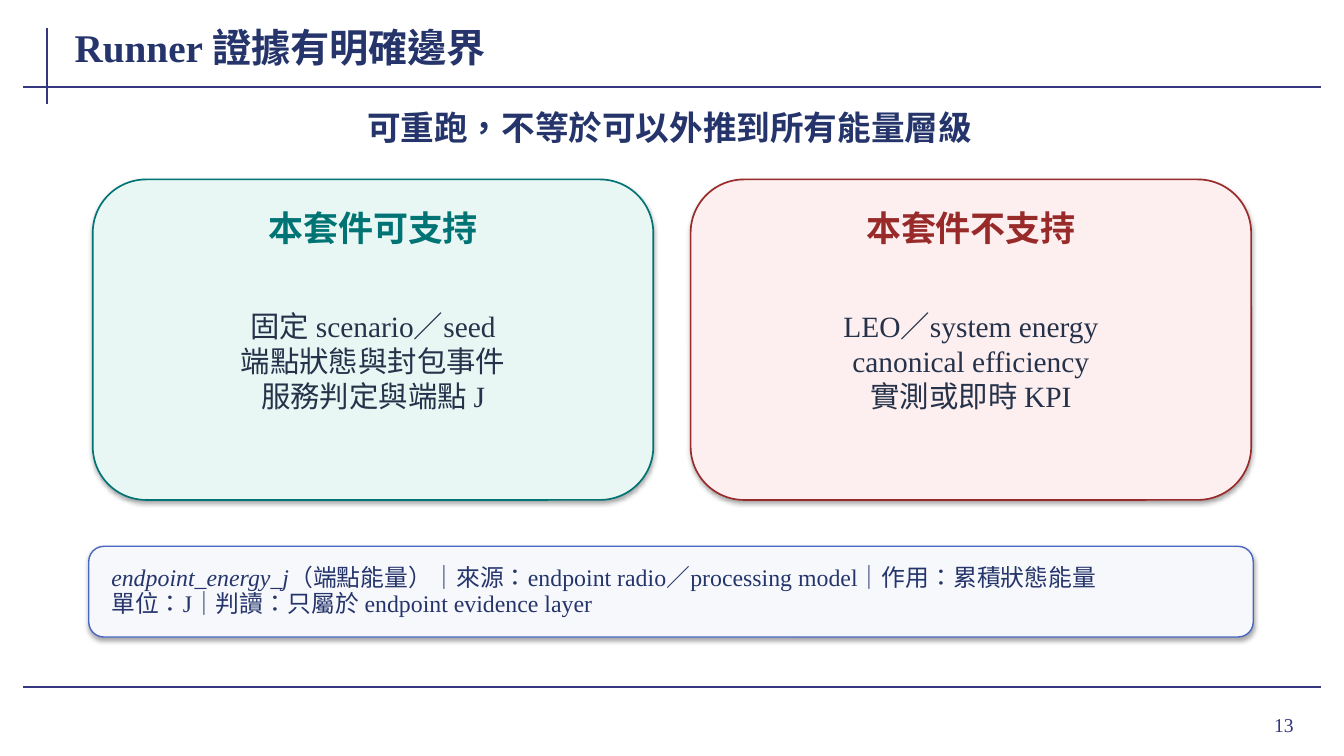
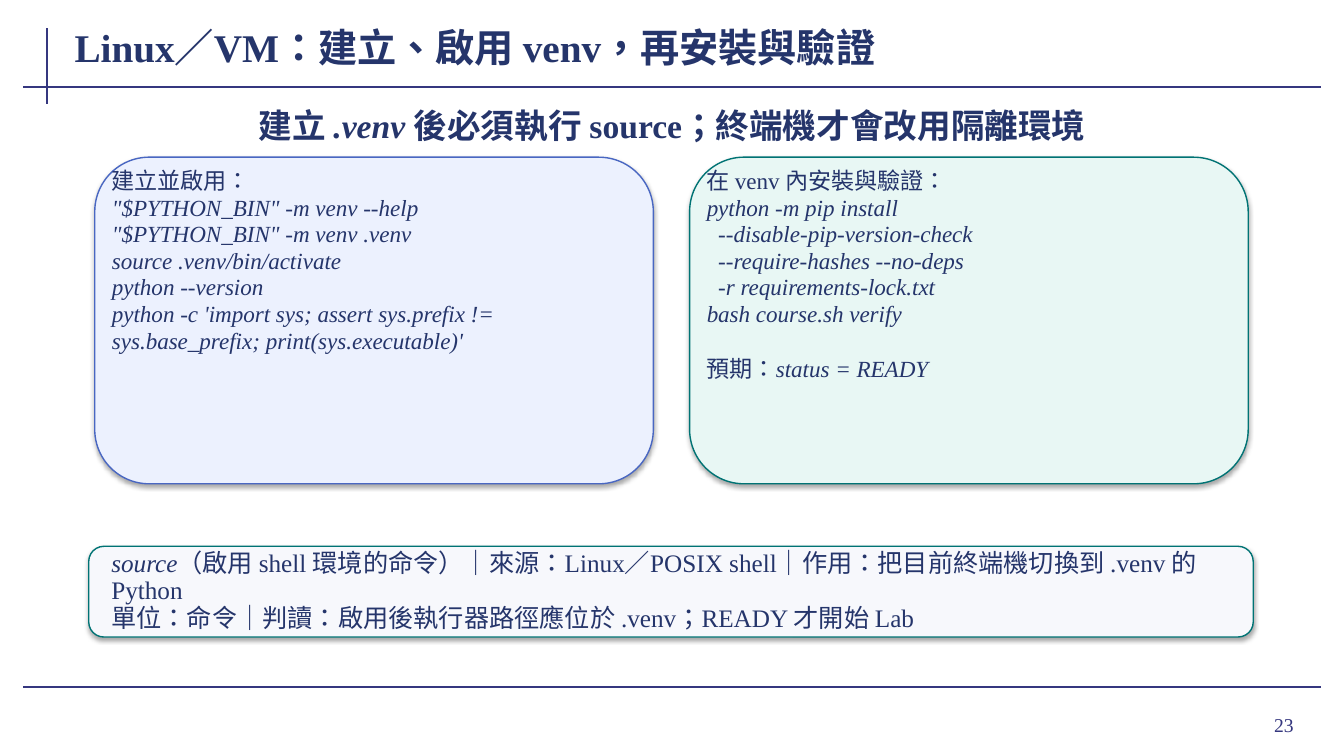
"""Build two course slides: runner evidence limits and virtual environment setup."""
from lxml import etree
from pptx import Presentation
from pptx.dml.color import RGBColor
from pptx.enum import lang, shapes, text
from pptx.oxml import ns
from pptx.util import Inches, Pt

FONT = "Times New Roman"
LANGUAGE = lang.MSO_LANGUAGE_ID.TRADITIONAL_CHINESE
NAVY, RULE, INK = "25356B", "35377F", "25324A"
BLUE, TEAL, RED = "4967C2", "007374", "992A2A"
PALE_BLUE, PALE_TEAL, PALE_RED, PALE_GREY = "ECF1FE", "E8F7F4", "FDEFEF", "F7F8FC"
LEFT, CENTER, RIGHT = text.PP_ALIGN.LEFT, text.PP_ALIGN.CENTER, text.PP_ALIGN.RIGHT
TOP, MIDDLE = text.MSO_ANCHOR.TOP, text.MSO_ANCHOR.MIDDLE
FIXED, GROW = text.MSO_AUTO_SIZE.NONE, text.MSO_AUTO_SIZE.SHAPE_TO_FIT_TEXT
rgb = RGBColor.from_string


def write(shape, lines, size, color=NAVY, align=LEFT, bold=False, anchor=MIDDLE,
          inset=(0.02, 0.01), spacing=None, fit=GROW):
    """Fill a shape with lines of text; backquotes enclose italic words."""
    frame = shape.text_frame
    frame.word_wrap, frame.auto_size, frame.vertical_anchor = True, fit, anchor
    frame.margin_left = frame.margin_right = Inches(inset[0])
    frame.margin_top = frame.margin_bottom = Inches(inset[1])
    for index, line in enumerate(lines):
        paragraph = frame.add_paragraph() if index else frame.paragraphs[0]
        paragraph.alignment = align
        if spacing:
            paragraph.line_spacing = spacing
        for part, words in enumerate(line.split("`")):
            if words:
                run = paragraph.add_run()
                run.text = words
                run.font.name, run.font.size = FONT, Pt(size)
                run.font.bold, run.font.italic = bold, part % 2 == 1
                run.font.color.rgb = rgb(color)
                run.font.language_id = LANGUAGE


def panel(slide, box, fill, line, width=1):
    """Add a rounded panel that keeps the soft shadow of the theme."""
    shape = slide.shapes.add_shape(shapes.MSO_SHAPE.ROUNDED_RECTANGLE, *map(Inches, box))
    shape.fill.solid()
    shape.fill.fore_color.rgb = rgb(fill)
    shape.line.color.rgb = rgb(line)
    shape.line.width = Pt(width)
    return shape


deck = Presentation()
deck.slide_width, deck.slide_height = Inches(13.33), Inches(7.5)
layout = deck.slide_layouts[5]
heading = layout.placeholders[0]
heading.left, heading.top, heading.width, heading.height = map(Inches, (0.72, 0.2, 10.35, 0.53))

openings = [
    ("13", "Runner 證據有明確邊界",
     "可重跑，不等於可以外推到所有能量層級", (1.03, 1.02, 11.22, 0.48)),
    ("23", "Linux／VM：建立、啟用 venv，再安裝與驗證",
     "建立 `.venv` 後必須執行 source；終端機才會改用隔離環境", (0.94, 0.98, 11.45, 0.52)),
]
for number, title, message, message_box in openings:
    slide = deck.slides.add_slide(layout)
    write(slide.shapes.title, [title], 28, bold=True, inset=(0.02, 0), fit=FIXED)
    page_number = slide.shapes.add_textbox(*map(Inches, (11.96, 6.93, 0.97, 0.52)))
    write(page_number, [number], 14, RULE, RIGHT, inset=(0.1, 0.05), fit=FIXED)
    headline = slide.shapes.add_textbox(*map(Inches, message_box))
    write(headline, [message], 24, align=CENTER, bold=True)

evidence, setup = deck.slides

rules = [(0.47, 0.28, 0.47, 1.03), (0.23, 0.86, 13.1, 0.86), (0.23, 6.82, 13.1, 6.82)]
for index, ends in enumerate(rules):
    rule = evidence.shapes.add_connector(shapes.MSO_CONNECTOR.STRAIGHT, *map(Inches, ends))
    rule.line.color.rgb = rgb(RULE)
    rule.line.width = Pt(1.5)
    etree.SubElement(rule._element.spPr, ns.qn("a:effectLst"))
    rule._element.nvCxnSpPr.cNvPr.id = 100 + index
    layout.shapes._spTree.append(rule._element)

claims = [
    (0.92, PALE_TEAL, TEAL, "本套件可支持",
     ["固定 scenario／seed", "端點狀態與封包事件", "服務判定與端點 J"]),
    (6.85, PALE_RED, RED, "本套件不支持",
     ["LEO／system energy", "canonical efficiency", "實測或即時 KPI"]),
]
for left, fill, accent, verdict, items in claims:
    panel(evidence, (left, 1.78, 5.56, 3.18), fill, accent, 1.2)
    verdict_box = evidence.shapes.add_textbox(*map(Inches, (left + 0.3, 2, 4.96, 0.52)))
    write(verdict_box, [verdict], 25, accent, CENTER, bold=True)
    items_box = evidence.shapes.add_textbox(*map(Inches, (left + 0.3, 2.73, 4.96, 1.7)))
    write(items_box, items, 21, INK, CENTER)

steps = [
    (0.94, PALE_BLUE, BLUE,
     ["建立並啟用：",
      '`"$PYTHON_BIN" -m venv --help`',
      '`"$PYTHON_BIN" -m venv .venv`',
      "`source .venv/bin/activate`",
      "`python --version`",
      "`python -c 'import sys; assert sys.prefix != sys.base_prefix; print(sys.executable)'`"]),
    (6.84, PALE_TEAL, TEAL,
     ["在 venv 內安裝與驗證：",
      "`python -m pip install`",
      "`  --disable-pip-version-check`",
      "`  --require-hashes --no-deps`",
      "`  -r requirements-lock.txt`",
      "`bash course.sh verify`",
      "預期：`status = READY`"]),
]
for left, fill, accent, commands in steps:
    panel(setup, (left, 1.56, 5.54, 3.24), fill, accent)
    commands_box = setup.shapes.add_textbox(*map(Inches, (left + 0.16, 1.66, 5.22, 3.04)))
    write(commands_box, commands, 16.5, anchor=TOP, inset=(0.01, 0.01), spacing=0.96)
commands_box.text_frame.paragraphs[-1].space_before = Pt(20.5)

glossary = [
    (evidence, BLUE, 17, 0.05, 0.92,
     ["`endpoint_energy_j`（端點能量）｜來源：endpoint radio／processing model｜作用：累積狀態能量",
      "單位：J｜判讀：只屬於 endpoint evidence layer"]),
    (setup, TEAL, 18, 0.03, 0.9,
     ["`source`（啟用 shell 環境的命令）｜來源：Linux／POSIX shell｜作用：把目前終端機切換到 .venv 的 Python",
      "單位：命令｜判讀：啟用後執行器路徑應位於 .venv；READY 才開始 Lab"]),
]
for slide, accent, size, margin, spacing, definition in glossary:
    note = panel(slide, (0.88, 5.42, 11.55, 0.9), PALE_GREY, accent)
    write(note, definition, size, inset=(0.18, margin), spacing=spacing, fit=FIXED)

deck.save("out.pptx")
